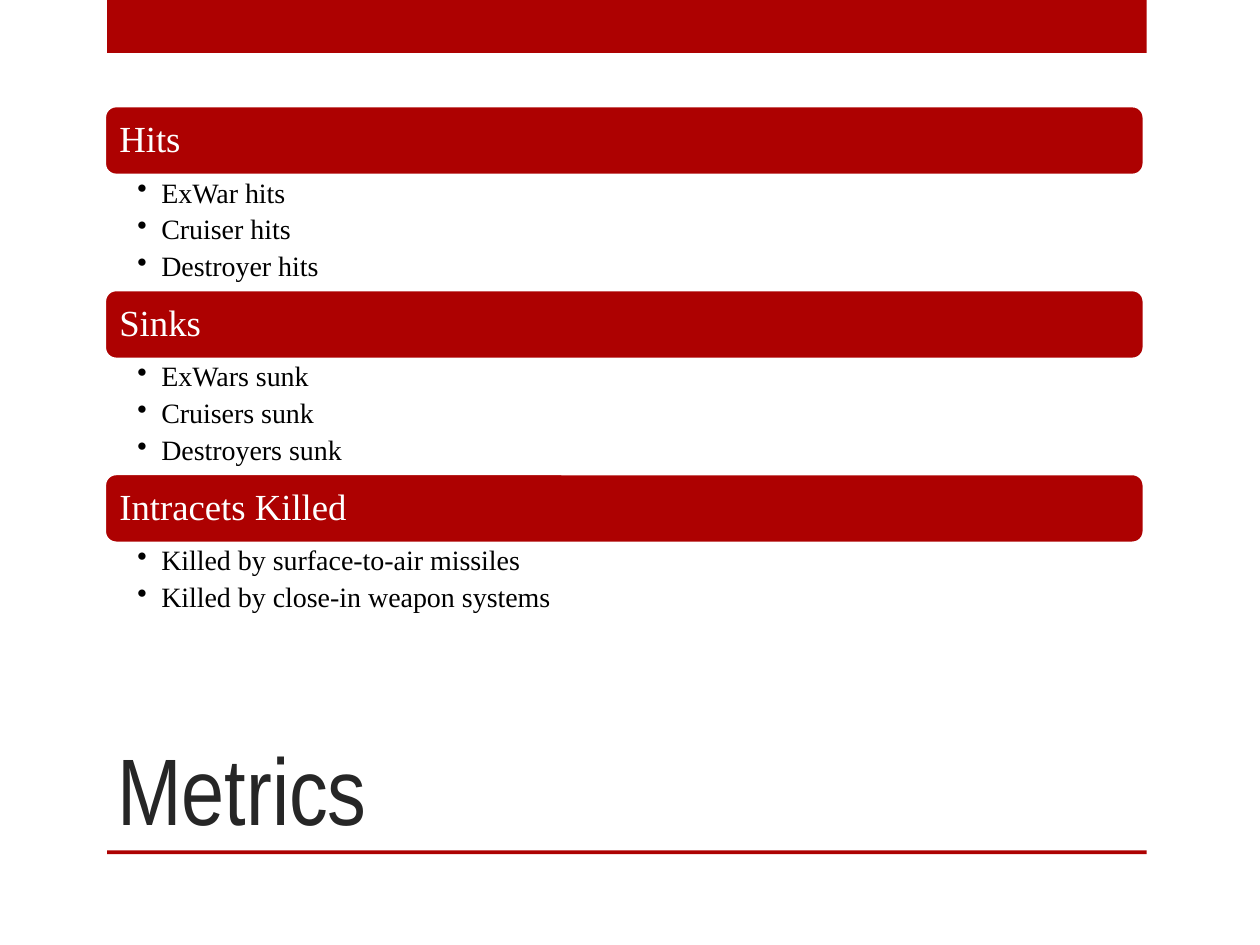
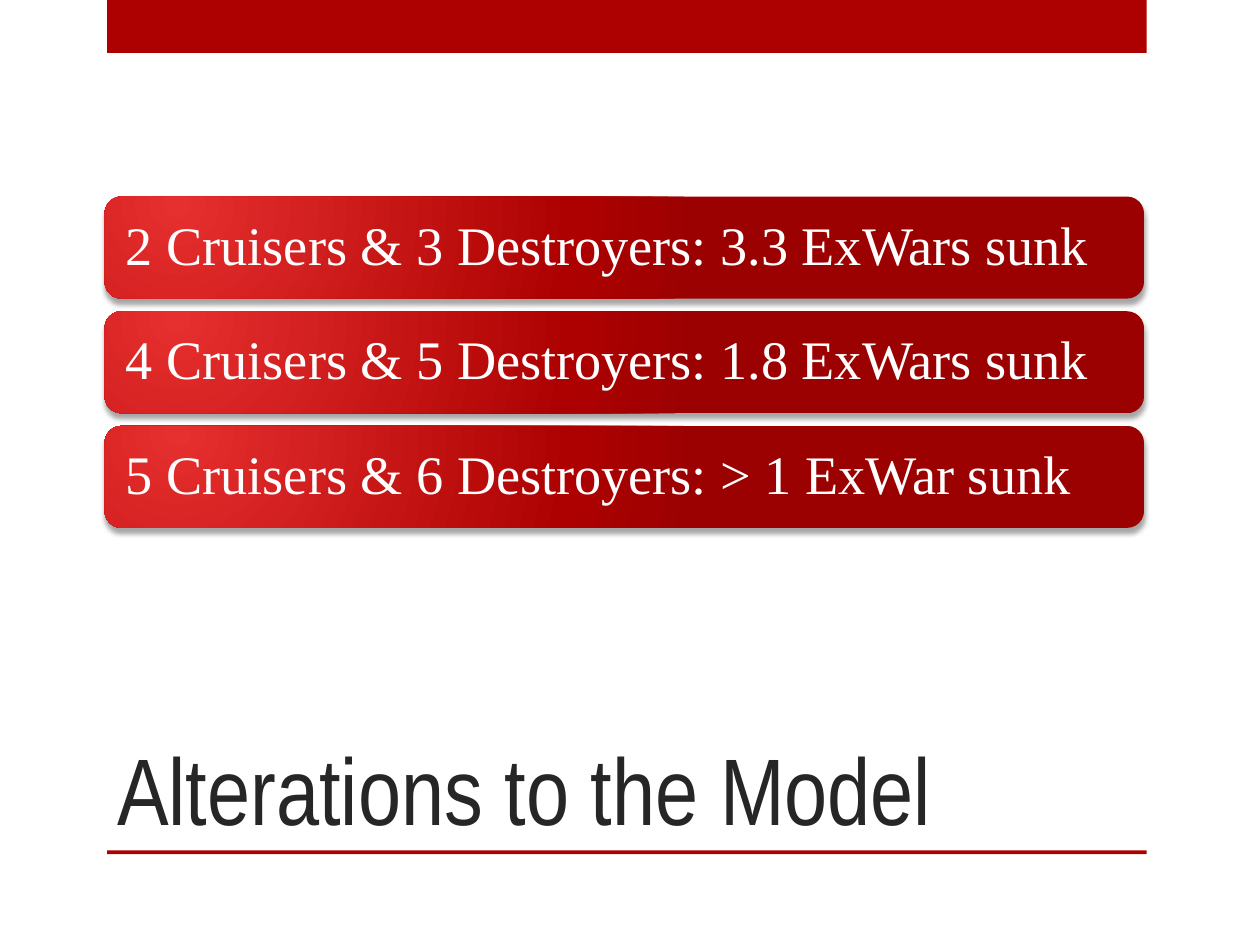
"""Build two slides: battle metrics and alterations to the model."""
import pptx
import pptx.dml.color
import pptx.enum.shapes
import pptx.enum.text
import pptx.oxml
import pptx.oxml.ns
import pptx.util
from pptx.util import Inches, Pt

METRICS = [
    ("Hits", ["ExWar hits", "Cruiser hits", "Destroyer hits"]),
    ("Sinks", ["ExWars sunk", "Cruisers sunk", "Destroyers sunk"]),
    ("Intracets Killed", ["Killed by surface-to-air missiles",
                          "Killed by close-in weapon systems"]),
]
ALTERATIONS = [
    "2 Cruisers & 3 Destroyers: 3.3 ExWars sunk",
    "4 Cruisers & 5 Destroyers: 1.8 ExWars sunk",
    "5 Cruisers & 6 Destroyers: > 1 ExWar sunk",
]

RED = pptx.dml.color.RGBColor(0xAD, 0x01, 0x01)
BRIGHT_RED = pptx.dml.color.RGBColor(0xE6, 0x2F, 0x2F)
DARK_RED = pptx.dml.color.RGBColor(0x9C, 0x01, 0x01)
WHITE = pptx.dml.color.RGBColor(0xFF, 0xFF, 0xFF)
BLACK = pptx.dml.color.RGBColor(0, 0, 0)
CHARCOAL = pptx.dml.color.RGBColor(0x26, 0x26, 0x26)
TITLE_FONT, BODY_FONT = "Arial Narrow", "Times New Roman"

LEFT, WIDTH = 0.83, 8.25
HEADER_TOP, HEADER_HEIGHT = 0.84, 0.55
LINE_HEIGHT, LIST_GAP = 0.3, 0.01
BAR_TOP, BAR_HEIGHT, BAR_GAP = 1.56, 0.81, 0.1

SHAPES = pptx.enum.shapes.MSO_SHAPE
ANCHOR = pptx.enum.text.MSO_ANCHOR
ALIGN = pptx.enum.text.PP_ALIGN
NS = pptx.oxml.ns.nsdecls("a")


def style_text(p, font, size, color):
    p.alignment = ALIGN.LEFT
    for r in p.runs:
        r.font.name = font
        r.font.size = Pt(size)
        r.font.color.rgb = color


def set_margins(tf, left, top, right, bottom):
    tf.margin_left, tf.margin_top = Inches(left), Inches(top)
    tf.margin_right, tf.margin_bottom = Inches(right), Inches(bottom)


def add_box(s, kind, left, top, width, height):
    sp = s.shapes.add_shape(kind, Inches(left), Inches(top),
                            Inches(width), Inches(height))
    sp.shadow.inherit = False
    sp.fill.solid()
    sp.fill.fore_color.rgb = RED
    sp.line.fill.background()
    return sp


def add_bar(s, text, top, height, size, margin):
    sp = add_box(s, SHAPES.ROUNDED_RECTANGLE, LEFT, top, WIDTH, height)
    tf = sp.text_frame
    tf.text = text
    tf.word_wrap = True
    tf.vertical_anchor = ANCHOR.MIDDLE
    set_margins(tf, margin, margin, margin, margin)
    tf.paragraphs[0].line_spacing = 0.9
    style_text(tf.paragraphs[0], BODY_FONT, size, WHITE)
    return sp


def add_list(s, items, top, height):
    sp = s.shapes.add_textbox(Inches(LEFT), Inches(top),
                              Inches(WIDTH), Inches(height))
    tf = sp.text_frame
    tf.text = "\n".join(items)
    tf.word_wrap = True
    set_margins(tf, 0.26, 0.03, 0.16, 0.03)
    for p in tf.paragraphs:
        p.line_spacing = 0.9
        p.space_after = Pt(3.7)
        style_text(p, BODY_FONT, 16, BLACK)
        pPr = p._p.get_or_add_pPr()
        pPr.set("marL", str(Inches(0.19)))
        pPr.set("indent", str(-Inches(0.19)))
        pPr.append(pptx.oxml.parse_xml(f'<a:buChar {NS} char="•"/>'))


def add_glow_and_shadow(sp):
    stops = "".join(
        f'<a:gs pos="{pos * 1000}"><a:srgbClr val="{color}"/></a:gs>'
        for pos, color in [(0, BRIGHT_RED), (76, RED), (100, DARK_RED)])
    gradient = pptx.oxml.parse_xml(
        f'<a:gradFill {NS} rotWithShape="1"><a:gsLst>{stops}</a:gsLst>'
        '<a:path path="circle"><a:fillToRect l="15000" t="15000" '
        'r="100000" b="100000"/></a:path></a:gradFill>')
    spPr = sp._element.spPr
    spPr.replace(spPr.find(pptx.oxml.ns.qn("a:solidFill")), gradient)
    spPr.find(pptx.oxml.ns.qn("a:effectLst")).append(pptx.oxml.parse_xml(
        f'<a:outerShdw {NS} blurRad="{Pt(3)}" dist="{Pt(3)}" dir="5400000" '
        f'rotWithShape="0"><a:srgbClr val="{BLACK}"><a:alpha val="35000"/>'
        '</a:srgbClr></a:outerShdw>'))


def add_slide(prs, title, title_width):
    s = prs.slides.add_slide(prs.slide_layouts[5])
    for top, height in [(0, 0.42), (6.75, 0.03)]:
        add_box(s, SHAPES.RECTANGLE, 0.85, top, WIDTH, height)
    sp = s.shapes.title
    sp.left, sp.top = Inches(LEFT), Inches(5)
    sp.width, sp.height = Inches(title_width), Inches(1.75)
    tf = sp.text_frame
    tf.text = title
    tf.auto_size = pptx.enum.text.MSO_AUTO_SIZE.NONE
    tf.vertical_anchor = ANCHOR.BOTTOM
    style_text(tf.paragraphs[0], TITLE_FONT, 54, CHARCOAL)
    return s


def build_metrics(prs):
    s = add_slide(prs, "Metrics", 7.42)
    top = HEADER_TOP
    for header, items in METRICS:
        sp = add_bar(s, header, top, HEADER_HEIGHT, 21, 0.09)
        sp.line.color.rgb = WHITE
        sp.line.width = Pt(1.75)
        top += HEADER_HEIGHT
        height = LINE_HEIGHT * len(items)
        add_list(s, items, top, height)
        top += height + LIST_GAP


def build_alterations(prs):
    s = add_slide(prs, "Alterations to the Model", 7.99)
    for i, text in enumerate(ALTERATIONS):
        top = BAR_TOP + i * (BAR_HEIGHT + BAR_GAP)
        add_glow_and_shadow(add_bar(s, text, top, BAR_HEIGHT, 31, 0.13))


def main():
    prs = pptx.Presentation()
    prs.slide_width, prs.slide_height = Inches(10), Inches(7.5)
    build_metrics(prs)
    build_alterations(prs)
    prs.save("out.pptx")


if __name__ == "__main__":
    main()
